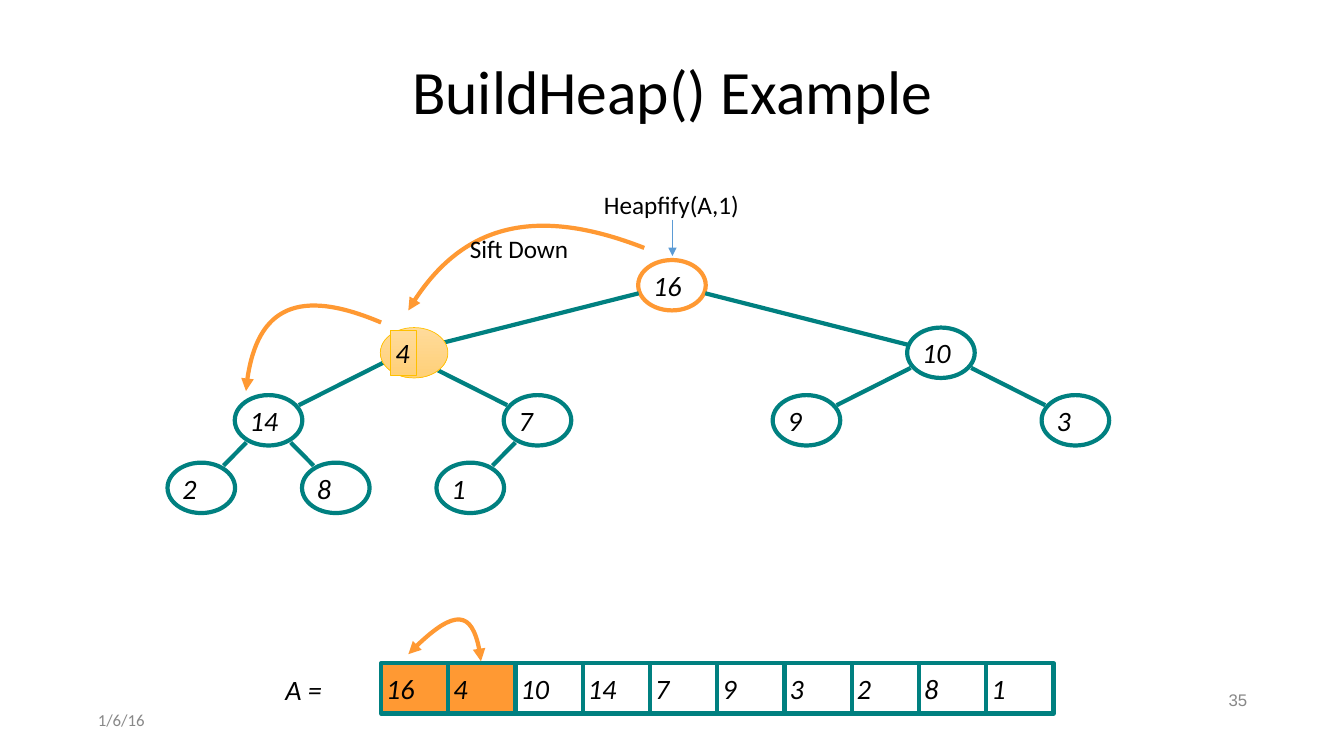
from pptx import Presentation
from pptx import util as u
from pptx.dml.color import RGBColor
from pptx.enum import shapes, text
from pptx.oxml.ns import qn
from lxml import etree

Inches = u.Inches
BLACK = RGBColor(0x00, 0x00, 0x00)
WHITE = RGBColor(0xFF, 0xFF, 0xFF)
GRAY = RGBColor(0x88, 0x88, 0x88)
TEAL = RGBColor(0x00, 0x80, 0x80)
ORANGE = RGBColor(0xFF, 0x99, 0x33)
BLUE = RGBColor(0x5B, 0x9B, 0xD5)
GOLD = RGBColor(0xFF, 0xC0, 0x00)
PALE_GOLD = RGBColor(0xFF, 0xDB, 0x9B)
DEEP_GOLD = RGBColor(0xFF, 0xD0, 0x78)

HEAP = [16, 4, 10, 14, 7, 9, 3, 2, 8, 1]
NODE_WIDTH, NODE_HEIGHT, LEVEL_STEP = 0.67, 0.5, 0.67
PORTS = [(0.33, 0.08), (0.3, 0.15), (0.22, 0.22)]
SIFTED, SIFTED_SHIFT = 1, 0.11


def write(shape, words, size, color=BLACK, font="Calibri", italic=False,
          align=text.PP_ALIGN.LEFT, anchor=text.MSO_ANCHOR.MIDDLE, wrap=True):
    """Put one formatted paragraph into a shape."""
    frame = shape.text_frame
    frame.word_wrap = wrap
    frame.vertical_anchor = anchor
    frame.margin_left = frame.margin_right = Inches(0.05)
    frame.margin_top = frame.margin_bottom = 0
    para = frame.paragraphs[0]
    para.text = str(words)
    para.alignment = align
    para.font.size, para.font.name = u.Pt(size), font
    para.font.italic = italic
    para.font.color.rgb = color


def add_label(page, box, words, size, **style):
    """Add a text box at left, top, width, height."""
    write(page.shapes.add_textbox(*map(Inches, box)), words, size, **style)


def add_block(page, kind, box, line, weight=3, fill=None):
    """Add an outlined shape; a pair of fill colours makes a gradient."""
    shape = page.shapes.add_shape(kind, *map(Inches, box))
    shape.shadow.inherit = False
    shape.line.color.rgb, shape.line.width = line, u.Pt(weight)
    if fill is None:
        shape.fill.background()
    elif isinstance(fill, RGBColor):
        shape.fill.solid()
        shape.fill.fore_color.rgb = fill
    else:
        shape.fill.gradient()
        shape.fill.gradient_angle = 270
        for stop, color in zip(shape.fill.gradient_stops, fill):
            stop.color.rgb = color
    return shape


def add_arrowheads(shape, *ends):
    """Put triangles on the named ends of a line."""
    for end in ends:
        etree.SubElement(shape.line._get_or_add_ln(), qn("a:" + end), type="triangle")


def add_line(page, start, end, color, weight):
    """Add a straight line without a shadow."""
    line = page.shapes.add_connector(
        shapes.MSO_CONNECTOR.STRAIGHT, *map(Inches, (*start, *end)))
    line.line.color.rgb, line.line.width = color, u.Pt(weight)
    etree.SubElement(line._element.spPr, qn("a:effectLst"))
    return line


def add_swap_curve(page, points, *ends):
    """Draw an orange cubic curve through a start, two controls and an end."""
    start, *rest = [(Inches(x), Inches(y)) for x, y in points]
    builder = page.shapes.build_freeform(*start)
    builder.add_line_segments(rest, close=False)
    curve = builder.convert_to_shape()
    curve.shadow.inherit = False
    curve.fill.background()
    curve.line.color.rgb, curve.line.width = ORANGE, u.Pt(3)
    outline = next(curve._element.iter(qn("a:path")))
    bezier = etree.SubElement(outline, qn("a:cubicBezTo"))
    for segment in outline.findall(qn("a:lnTo")):
        bezier.append(segment[0])
        outline.remove(segment)
    add_arrowheads(curve, *ends)


def tree_center(index, left, top, width):
    """Return the depth and the centre of a heap node."""
    depth = (index + 1).bit_length() - 1
    place = index + 1 - 2 ** depth
    return depth, left + width * (place + 0.5) / 2 ** depth, top + depth * LEVEL_STEP


def add_node(page, index, area):
    """Draw one heap node with its value."""
    _, x, y = tree_center(index, *area)
    left, top = x - NODE_WIDTH / 2, y - NODE_HEIGHT / 2
    oval = shapes.MSO_SHAPE.OVAL
    if index == SIFTED:
        left += SIFTED_SHIFT
        golds = (PALE_GOLD, DEEP_GOLD)
        add_block(page, oval, (left, top, NODE_WIDTH, NODE_HEIGHT), GOLD, 0.5, golds)
        holder = add_block(page, shapes.MSO_SHAPE.RECTANGLE,
                           (left + 0.1, top + 0.03, 0.26, 0.44), GOLD, 0.5, golds)
    else:
        holder = add_block(page, oval, (left, top, NODE_WIDTH, NODE_HEIGHT),
                           TEAL if index else ORANGE, fill=WHITE)
    write(holder, HEAP[index], 20, italic=True)


def add_tree(page, left, top, width):
    """Draw the heap as a binary tree, the sifted node in front."""
    area = (left, top, width)
    for index in range(len(HEAP)):
        if index != SIFTED:
            add_node(page, index, area)
    for index in range(1, len(HEAP)):
        parent = (index - 1) // 2
        depth, x, y = tree_center(parent, *area)
        _, child_x, child_y = tree_center(index, *area)
        across, down = PORTS[depth]
        side = 1 if child_x > x else -1
        start, end = (x + side * across, y + down), (child_x - side * across, child_y - down)
        if parent == SIFTED:
            start = (x, y)
        if index == SIFTED:
            end = (child_x, child_y)
        add_line(page, start, end, TEAL, 3)
    add_node(page, SIFTED, area)


def add_array(page, left, top, width, height):
    """Draw the heap as a row of cells with its name."""
    step = width / len(HEAP)
    for index, value in enumerate(HEAP):
        cell = add_block(page, shapes.MSO_SHAPE.RECTANGLE,
                         (left + index * step, top, step, height), TEAL,
                         fill=ORANGE if index < 2 else None)
        write(cell, value, 20, italic=True)
    add_label(page, (left - 1, top + 0.04, 0.48, 0.43), "A =", 20, italic=True, wrap=False)


def add_sift_notes(page, x, y):
    """Draw the call, its arrow and the sift-down curves above the root."""
    add_swap_curve(page, [(x - 2.62, y + 0.25), (x - 2.13, y - 0.59),
                          (x - 1.35, y - 0.79), (x - 0.28, y - 0.37)], "headEnd")
    add_swap_curve(page, [(x - 4.23, y + 1.05), (x - 4.16, y + 0.24),
                          (x - 3.71, y + 0.02), (x - 2.89, y + 0.37)], "headEnd")
    top = text.MSO_ANCHOR.TOP
    add_label(page, (x - 2.06, y - 0.52, 1.1, 0.41), "Sift Down", 18, anchor=top, wrap=False)
    add_label(page, (x - 0.73, y - 0.95, 1.45, 0.41), "Heapfify(A,1)", 18,
              anchor=top, wrap=False)
    arrow = add_line(page, (x, y - 0.65), (x, y - 0.29), BLUE, 1)
    add_arrowheads(arrow, "tailEnd")


def add_title(page, left, top, width, height):
    """Place and format the title placeholder."""
    title = page.shapes.title
    title.left, title.top, title.width, title.height = map(Inches, (left, top, width, height))
    write(title, "BuildHeap() Example", 44, align=text.PP_ALIGN.CENTER)
    title.text_frame.paragraphs[0].line_spacing = 0.9


def add_footer(page, left, top, width):
    """Place the date and the page number."""
    add_label(page, (left, top + 0.2, 3, 0.29), "1/6/16", 12, color=GRAY)
    add_label(page, (left + width - 3, top, 3, 0.29), "35", 12, color=GRAY,
              font="Arial", align=text.PP_ALIGN.RIGHT)


def main():
    """Build the heap slide and save it."""
    deck = Presentation()
    deck.slide_width, deck.slide_height = Inches(13.33), Inches(7.5)
    page = deck.slides.add_slide(deck.slide_layouts[5])
    add_title(page, 0.92, 0.4, 11.5, 1.07)
    add_tree(page, 1.33, 2.83, 10.67)
    add_array(page, 3.78, 6.58, 6.67, 0.5)
    add_swap_curve(page, [(4.05, 6.49), (4.48, 6.04), (4.72, 6.06), (4.77, 6.56)],
                   "headEnd", "tailEnd")
    add_sift_notes(page, 6.67, 2.83)
    add_footer(page, 0.92, 6.8, 11.5)
    deck.save("out.pptx")


if __name__ == "__main__":
    main()
